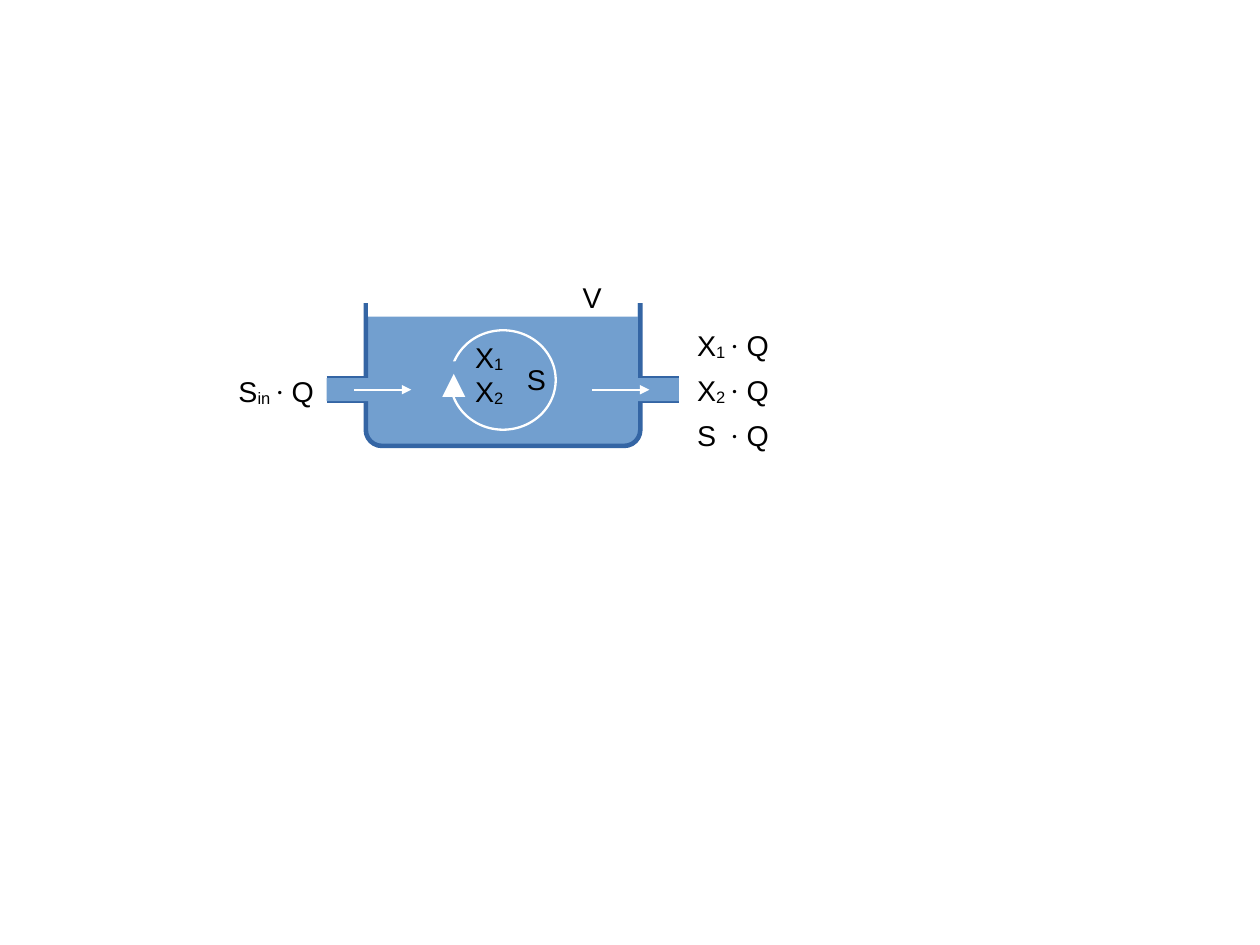
"""Draws a stirred tank reactor with inflow, outflow and labels."""
from lxml.etree import SubElement
from pptx import Presentation
from pptx.dml.color import RGBColor
from pptx.enum.shapes import MSO_CONNECTOR as CONN, MSO_SHAPE as SHAPE
from pptx.oxml.ns import qn
from pptx.util import Cm, Pt

WATER, WALL, WHITE, BLACK = "729FCF", "3465A4", "FFFFFF", "000000"
ARIAL, TIMES = "Arial", "Times New Roman"
FLOW_Y, PIPE_H = 8.66, 0.51
PIPE_LEFT, PIPE_RIGHT, PIPE_W = 7.26, 15.09, 1.02
PIPE_TOP = FLOW_Y - PIPE_H / 2
ARROW_W = 1.27
OUT_X, OUT_Y, OUT_STEP = 15.24, 7.16, 1.0

SHAPES = [
    (SHAPE.ROUNDED_RECTANGLE, 8.13, 6.35, 6.1, 3.56, WATER, WALL, 2.89),
    (SHAPE.RECTANGLE, 8.18, 6.1, 5.99, 0.94, WHITE, None, 0),
    (SHAPE.RECTANGLE, PIPE_LEFT, PIPE_TOP, PIPE_W, PIPE_H, WATER, None, 0),
    (SHAPE.RECTANGLE, PIPE_RIGHT - PIPE_W, PIPE_TOP, PIPE_W, PIPE_H, WATER, None, 0),
    (SHAPE.OVAL, 10.01, 7.34, 2.34, 2.21, None, WHITE, 1.45),
    (SHAPE.RECTANGLE, 9.96, 8.03, 1.02, 0.76, WATER, None, 0),
    (SHAPE.ISOSCELES_TRIANGLE, 9.83, 8.31, 0.51, 0.51, WHITE, None, 0),
    (SHAPE.RECTANGLE, 7.87, 5.84, 6.6, 0.89, WHITE, None, 0),
]
ARROWS = [7.87, 13.16]

TIMES_Q = [("· ", TIMES, 0), ("Q", ARIAL, 0)]


def term(name, index=""):
    """Return the runs of a symbol with an optional subscript."""
    return [(name, ARIAL, 0)] + ([(index, ARIAL, -8)] if index else [])


OUTFLOWS = [term("X", "1 ") + TIMES_Q, term("X", "2 ") + TIMES_Q, term("S\t") + TIMES_Q]
LABELS = [
    (10.31, 7.42, 1.4, 2.08, [term("X", "1"), term("X", "2")]),
    (11.46, 7.92, 1.2, 0.97, [term("S")]),
    (5.05, 8.18, 2.4, 1.17, [term("S", "in ") + TIMES_Q]),
    (12.7, 6.1, 1.2, 0.97, [term("V")]),
] + [(OUT_X, OUT_Y + i * OUT_STEP, 2.4, 1.17, [runs]) for i, runs in enumerate(OUTFLOWS)]


def paint(fmt, color):
    """Give a fill a solid colour, or none."""
    if color:
        fmt.solid()
        fmt.fore_color.rgb = RGBColor.from_string(color)
    else:
        fmt.background()


def add_shape(s, kind, x, y, w, h, fill, line, width):
    """Add a preset shape."""
    sp = s.shapes.add_shape(kind, Cm(x), Cm(y), Cm(w), Cm(h))
    sp.shadow.inherit = False
    paint(sp.fill, fill)
    paint(sp.line.fill, line)
    if line:
        sp.line.width = Pt(width)
    if kind == SHAPE.ROUNDED_RECTANGLE:
        sp.adjustments[0] = 0.1


def add_line(s, x1, x2, y, color, width, arrow=False):
    """Add a horizontal line, with an arrowhead if wanted."""
    cn = s.shapes.add_connector(CONN.STRAIGHT, Cm(x1), Cm(y), Cm(x2), Cm(y))
    paint(cn.line.fill, color)
    cn.line.width = Pt(width)
    if arrow:
        SubElement(cn.line._get_or_add_ln(), qn("a:tailEnd"), type="triangle")
    SubElement(cn._element.spPr, qn("a:effectLst"))


def add_label(s, x, y, w, h, paragraphs):
    """Add a text box with subscripts and a tab stop before the dot."""
    tf = s.shapes.add_textbox(Cm(x), Cm(y), Cm(w), Cm(h)).text_frame
    tf.word_wrap = True
    for i, runs in enumerate(paragraphs):
        p = tf.add_paragraph() if i else tf.paragraphs[0]
        if any("\t" in text for text, _, _ in runs):
            tabs = SubElement(p._p.get_or_add_pPr(), qn("a:tabLst"))
            SubElement(tabs, qn("a:tab"), pos=str(Cm(0.73)), algn="l")
        for text, font, base in runs:
            r = p.add_run()
            r.text = text
            r.font.name, r.font.size = font, Pt(18)
            paint(r.font.fill, BLACK)
            if base:
                r._r.get_or_add_rPr().set("baseline", str(base * 1000))


def main():
    """Build and save the slide."""
    prs = Presentation()
    prs.slide_width, prs.slide_height = Cm(28), Cm(21)
    s = prs.slides.add_slide(prs.slide_layouts[6])
    for y in (PIPE_TOP + PIPE_H, PIPE_TOP):
        add_line(s, PIPE_LEFT, PIPE_RIGHT, y, WALL, 2.89)
    for shape in SHAPES:
        add_shape(s, *shape)
    for x in ARROWS:
        add_line(s, x, x + ARROW_W, FLOW_Y, WHITE, 1.45, arrow=True)
    for label in LABELS:
        add_label(s, *label)
    prs.save("out.pptx")


if __name__ == "__main__":
    main()
